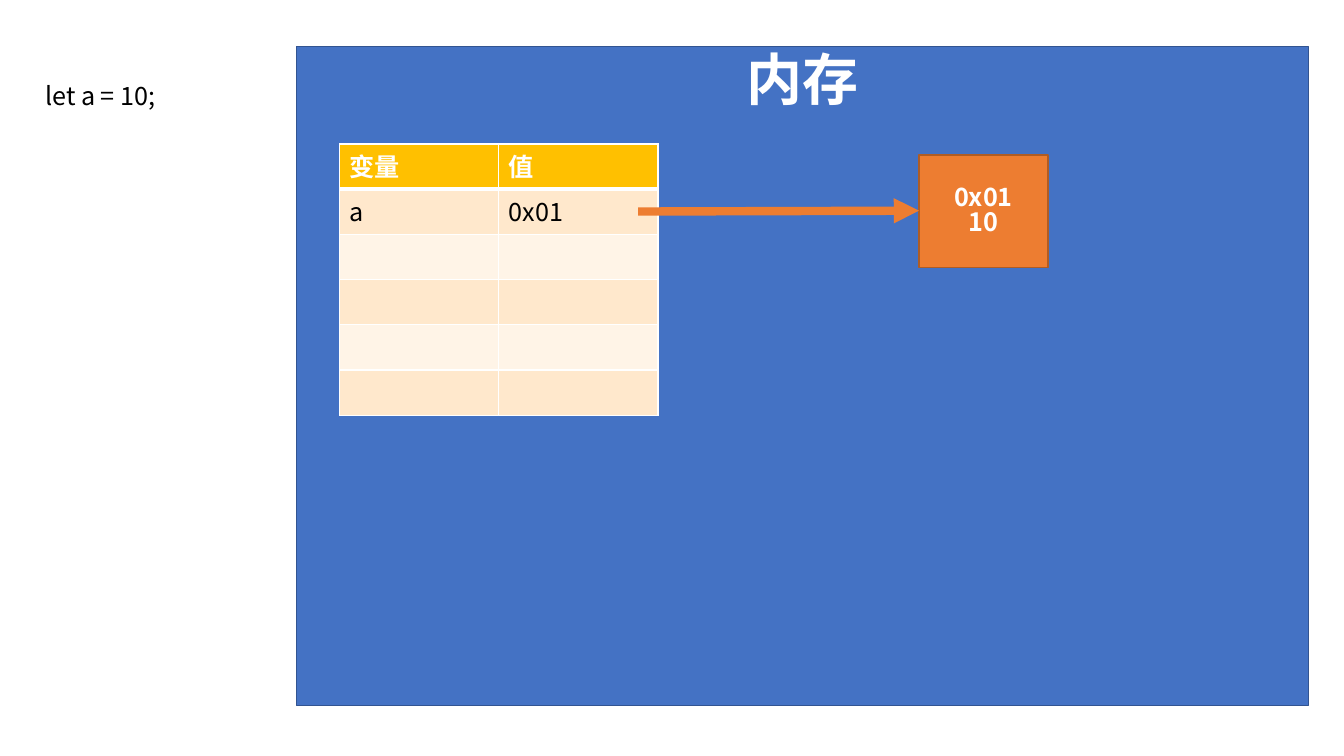
from lxml import etree
from pptx import Presentation
from pptx.dml.color import RGBColor
from pptx.enum.shapes import MSO_CONNECTOR, MSO_SHAPE
from pptx.enum.text import MSO_ANCHOR, MSO_AUTO_SIZE, PP_ALIGN
from pptx.oxml.ns import qn
from pptx.util import Cm, Pt

FONT = "Noto Sans CJK SC"
RECTANGLE = MSO_SHAPE.RECTANGLE
STRAIGHT = MSO_CONNECTOR.STRAIGHT
TOP, MIDDLE = MSO_ANCHOR.TOP, MSO_ANCHOR.MIDDLE
LEFT, CENTER = PP_ALIGN.LEFT, PP_ALIGN.CENTER
FIXED = MSO_AUTO_SIZE.NONE
TITLE_ONLY = 5

WHITE, BLACK = "FFFFFF", "000000"
BLUE, DARK_BLUE = "4472C4", "325491"
ORANGE, DARK_ORANGE = "ED7D31", "AF5C24"
GOLD, BANDS = "FFC000", ("FFE8CC", "FFF4E7")

VARIABLES = [("变量", "值"), ("a", "0x01")]
ROWS, COLUMNS = 6, 2
ROW_HEIGHT, COLUMN_WIDTH = Cm(1.14), Cm(4.01)


def colour(value):
    return RGBColor.from_string(value)


def apply(target, values):
    for name, value in values.items():
        setattr(target, name, value)


def place(shape, left, top, width, height):
    apply(shape, {"left": Cm(left), "top": Cm(top),
                  "width": Cm(width), "height": Cm(height)})


def write(frame, lines, ink, size=18, bold=False, align=LEFT, spacing=0.82):
    for number, line in enumerate(lines):
        para = frame.add_paragraph() if number else frame.paragraphs[0]
        apply(para, {"alignment": align, "line_spacing": spacing})
        span = para.add_run()
        span.text = line
        apply(span.font, {"name": FONT, "size": Pt(size), "bold": bold})
        span.font.color.rgb = colour(ink)
        east_asian = etree.SubElement(span.font._element, qn("a:ea"))
        east_asian.set("typeface", FONT)


def paint(shape, fill, outline):
    shape.fill.solid()
    shape.fill.fore_color.rgb = colour(fill)
    shape.line.color.rgb = colour(outline)
    shape.line.width = Pt(1)


def format_memory_panel(page):
    panel = page.shapes.title
    place(panel, 7.47, 1.17, 25.5, 16.61)
    paint(panel, BLUE, DARK_BLUE)
    apply(panel.text_frame, {"auto_size": FIXED, "vertical_anchor": TOP,
                             "margin_top": Cm(0.25)})
    write(panel.text_frame, ["内存"], WHITE, 40, True, CENTER)


def add_code(page, code):
    box = page.shapes.add_textbox(Cm(0.89), Cm(2.03), Cm(4.93), Cm(1.8))
    box.text_frame.word_wrap = True
    write(box.text_frame, [code], BLACK)


def add_memory_cell(page, lines):
    box = page.shapes.add_shape(RECTANGLE, Cm(23.16), Cm(3.91), Cm(3.25), Cm(2.84))
    box.shadow.inherit = False
    paint(box, ORANGE, DARK_ORANGE)
    box.text_frame.vertical_anchor = MIDDLE
    write(box.text_frame, lines, WHITE, bold=True, align=CENTER)


def add_border(cell, side, points):
    properties = cell._tc.get_or_add_tcPr()
    border = etree.SubElement(properties, qn(f"a:{side}"), w=str(Pt(points)))
    fill = etree.SubElement(border, qn("a:solidFill"))
    etree.SubElement(fill, qn("a:srgbClr"), val=WHITE)


def add_variable_table(page):
    table = page.shapes.add_table(
        ROWS, COLUMNS, Cm(8.56), Cm(3.63),
        COLUMN_WIDTH * COLUMNS, ROW_HEIGHT * ROWS).table
    for column in table.columns:
        column.width = COLUMN_WIDTH
    for number, row in enumerate(table.rows):
        row.height = ROW_HEIGHT
        header = number == 0
        widths = {"lnL": 1, "lnR": 1, "lnT": 3 if number == 1 else 1,
                  "lnB": 3 if header else 1}
        for cell in row.cells:
            for side, points in widths.items():
                add_border(cell, side, points)
            cell.fill.solid()
            cell.fill.fore_color.rgb = colour(GOLD if header else BANDS[(number - 1) % 2])
        if number < len(VARIABLES):
            for cell, word in zip(row.cells, VARIABLES[number]):
                write(cell.text_frame, [word], WHITE if header else BLACK,
                      bold=header, spacing=0.95)


def add_arrow(page):
    arrow = page.shapes.add_connector(STRAIGHT, Cm(16.08), Cm(5.33), Cm(23.16), Cm(5.31))
    arrow.line.color.rgb = colour(ORANGE)
    arrow.line.width = Pt(6)
    etree.SubElement(arrow.line._get_or_add_ln(), qn("a:tailEnd"), type="triangle")
    etree.SubElement(arrow._element.spPr, qn("a:effectLst"))


def main():
    deck = Presentation()
    apply(deck, {"slide_width": Cm(33.87), "slide_height": Cm(19.05)})
    page = deck.slides.add_slide(deck.slide_layouts[TITLE_ONLY])
    format_memory_panel(page)
    add_code(page, "let a = 10;")
    add_memory_cell(page, ["0x01", "10"])
    add_variable_table(page)
    add_arrow(page)
    deck.save("out.pptx")


main()
